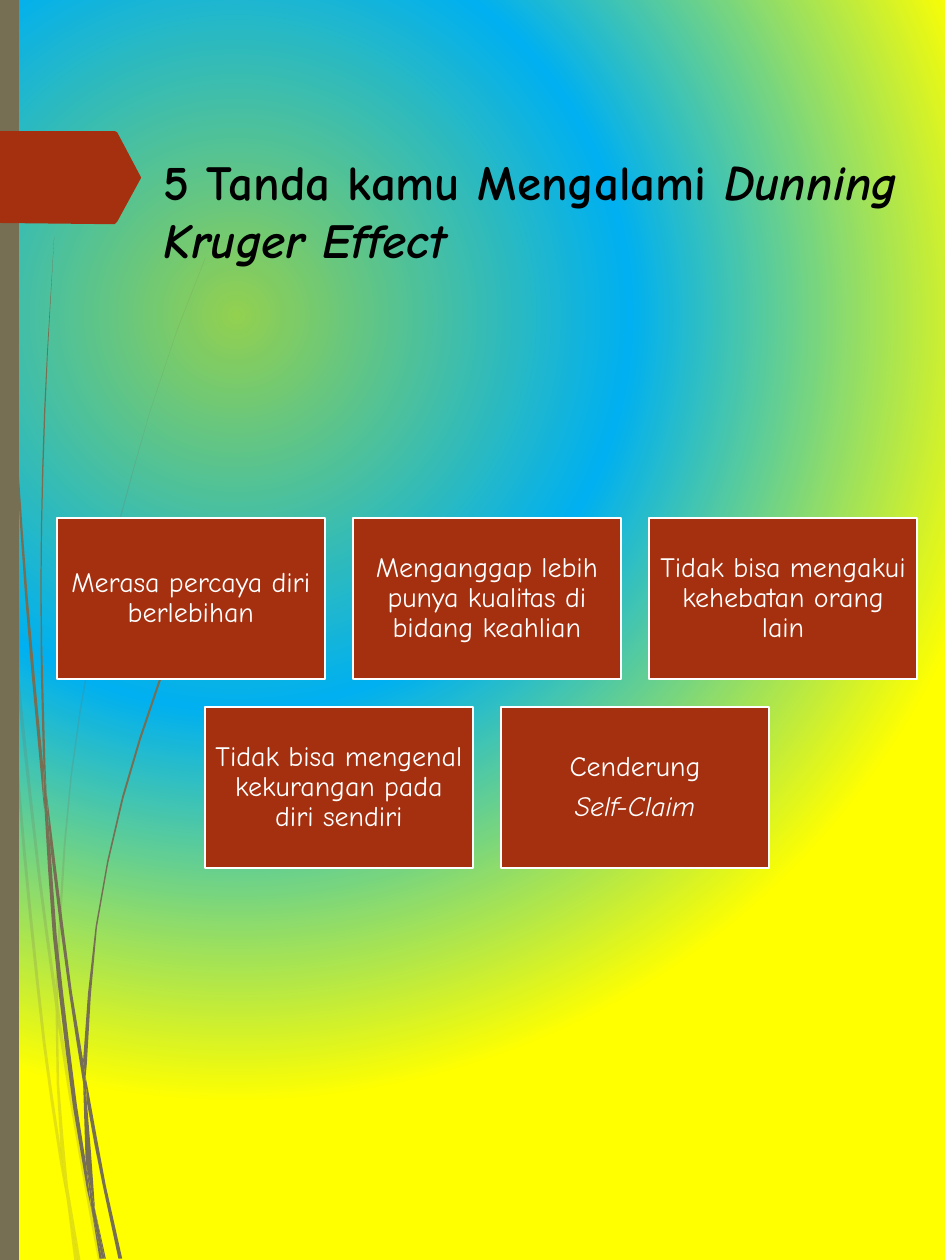
from dataclasses import dataclass
from math import ceil, dist

from lxml.etree import SubElement
from pptx import Presentation
from pptx.dml.color import RGBColor
from pptx.enum.shapes import MSO_SHAPE
from pptx.enum.text import MSO_ANCHOR, PP_ALIGN
from pptx.oxml import parse_xml
from pptx.oxml.ns import nsdecls, qn
from pptx.util import Inches, Pt

Point = tuple[float, float]
Edge = list[Point]


@dataclass(frozen=True)
class Theme:
    font: str = "Comic Neue"
    accent: str = "A53010"
    stem: str = "766F54"
    light: str = "FFFFFF"
    dark: str = "000000"
    glow: tuple[str, ...] = ("92D050", "00B0F0", "FFFF00")
    title_size: float = 28
    card_size: float = 16
    card_line: float = 1.25
    stem_opacity: int = 20


@dataclass(frozen=True)
class Grid:
    left: float = 0.45
    top: float = 4.11
    column_step: float = 2.35
    row_step: float = 1.5
    card_width: float = 2.13
    card_height: float = 1.28


@dataclass(frozen=True)
class Blade:
    """A thin leaf between an edge running down and an edge running back up."""
    down: Edge
    up: Edge


@dataclass(frozen=True)
class Card:
    column: float
    row: int
    lines: tuple[str, ...]
    italic_line: int = -1


THEME = Theme()
GRID = Grid()
WIDTH, HEIGHT = 7.5, 10

PALE_BLADES = [
    Blade([(0, 3.75), (0.04, 4.29), (0.06, 4.67)], [(0.05, 4.59), (0, 3.99)]),
    Blade([(0.07, 4.6), (0.09, 5.01), (0.3, 6.95), (0.44, 7.99)],
          [(0.44, 7.81), (0.32, 6.93), (0.07, 4.6)]),
    Blade([(0.46, 7.94), (0.46, 8.14), (0.64, 9.25), (0.78, 10.01)],
          [(0.81, 10.01), (0.66, 9.22), (0.48, 8.09), (0.46, 7.94)]),
    Blade([(0.55, 9.48), (0.62, 10.01)], [(0.64, 10.01), (0.55, 9.48)]),
    Blade([(0.06, 4.67), (0.14, 6.26), (0.34, 8.28), (0.48, 9.25), (0.53, 9.52)],
          [(0.52, 9.43), (0.48, 9.1), (0.36, 8.26), (0.16, 6.25), (0.09, 5.01), (0.06, 4.67)]),
    Blade([(0.04, 0.33), (0.02, 2.14), (0.04, 4.21), (0.07, 4.6)],
          [(0.07, 4.6), (0.06, 4.21), (0.03, 2.14), (0.05, 0.33)]),
    Blade([(0.44, 7.99), (0.45, 8.61), (0.48, 9.11), (0.55, 9.48)],
          [(0.54, 9.42), (0.47, 8.61), (0.46, 8.11), (0.44, 7.99)]),
    Blade([(1.63, 2.04), (1.4, 2.63), (1.19, 3.26), (0.82, 4.64), (0.56, 6.15),
           (0.44, 7.78), (0.46, 7.94)],
          [(0.46, 7.94), (0.46, 7.78), (0.57, 6.16), (0.83, 4.65), (1.19, 3.27),
           (1.4, 2.64), (1.63, 2.05)]),
    Blade([(0.53, 9.52), (0.59, 10.01)], [(0.62, 10.01), (0.53, 9.52)]),
    Blade([(0.44, 7.81), (0.44, 7.99), (0.46, 8.11)], [(0.46, 8.14), (0.46, 7.94), (0.44, 7.81)]),
    Blade([(0.48, 9.11), (0.53, 9.52), (0.62, 10.01)],
          [(0.62, 10.01), (0.55, 9.48), (0.48, 9.11)]),
]
SOLID_BLADES = [
    Blade([(0.02, 0), (0.04, 1.47), (0.1, 3.1), (0.2, 4.74), (0.35, 6.42)],
          [(0.34, 6.04), (0.22, 4.73), (0.11, 3.1), (0.05, 1.46), (0.02, 0)]),
    Blade([(0.37, 6.29), (0.4, 6.73), (0.55, 7.89), (0.66, 8.6)],
          [(0.66, 8.42), (0.57, 7.87), (0.37, 6.29)]),
    Blade([(0.68, 8.55), (0.69, 8.75), (0.82, 9.43), (0.94, 9.99)],
          [(0.97, 9.99), (0.84, 9.41), (0.7, 8.65), (0.68, 8.55)]),
    Blade([(0.35, 6.36), (0.42, 7.43), (0.58, 8.79), (0.69, 9.44), (0.73, 9.62)],
          [(0.72, 9.56), (0.68, 9.22), (0.61, 8.77), (0.45, 7.42), (0.4, 6.73), (0.35, 6.36)]),
    Blade([(0.43, 1.88), (0.35, 3.26), (0.32, 4.66), (0.34, 5.99), (0.37, 6.29)],
          [(0.37, 6.29), (0.36, 6.04), (0.33, 4.66), (0.36, 3.26), (0.43, 1.88)]),
    Blade([(0.75, 9.58), (0.83, 9.99)], [(0.84, 9.99), (0.75, 9.58)]),
    Blade([(0.34, 5.99), (0.35, 6.37), (0.4, 6.74)], [(0.37, 6.3), (0.34, 5.99)]),
    Blade([(1.62, 4.59), (1.43, 4.98), (1.26, 5.4), (0.97, 6.32), (0.76, 7.35),
           (0.66, 8.42), (0.68, 8.55)],
          [(0.69, 8.44), (0.77, 7.36), (0.98, 6.34), (1.27, 5.42), (1.44, 4.99), (1.62, 4.59)]),
    Blade([(0.73, 9.62), (0.79, 9.99)], [(0.81, 9.99), (0.73, 9.62)]),
    Blade([(0.66, 8.6), (0.68, 9.22), (0.75, 9.58)], [(0.75, 9.54), (0.69, 8.75), (0.66, 8.6)]),
    Blade([(0.66, 8.42), (0.66, 8.6), (0.69, 8.75)], [(0.68, 8.55), (0.66, 8.42)]),
    Blade([(0.68, 9.22), (0.73, 9.62), (0.81, 9.99)], [(0.83, 9.99), (0.75, 9.58), (0.68, 9.22)]),
]
ARROW_TAG = [(0, 1.04), (0.91, 1.04), (0.93, 1.05), (1.11, 1.39), (1.12, 1.41), (1.11, 1.43),
             (0.93, 1.76), (0.91, 1.78), (0, 1.77)]
CARDS = [
    Card(0, 0, ("Merasa percaya diri berlebihan",)),
    Card(1, 0, ("Menganggap lebih punya kualitas di bidang keahlian",)),
    Card(2, 0, ("Tidak bisa mengakui kehebatan orang lain",)),
    Card(0.5, 1, ("Tidak bisa mengenal kekurangan pada diri sendiri",)),
    Card(1.5, 1, ("Cenderung", "Self-Claim"), italic_line=1),
]


def smooth(edge: Edge, steps_per_inch: float = 1.5) -> Edge:
    """Join the points of an edge by Hermite curves with chord-length tangents."""
    def tangent(index: int) -> Point:
        before, after = edge[max(index - 1, 0)], edge[min(index + 1, len(edge) - 1)]
        length = dist(before, edge[index]) + dist(edge[index], after)
        return (after[0] - before[0]) / length, (after[1] - before[1]) / length

    curve = [edge[0]]
    for index, (start, end) in enumerate(zip(edge, edge[1:])):
        leave, arrive, length = tangent(index), tangent(index + 1), dist(start, end)
        steps = ceil(length * steps_per_inch)
        for step in range(1, steps + 1):
            t = step / steps
            blend = t * t * (3 - 2 * t)
            pull_out, pull_in = length * t * (1 - t) ** 2, length * t * t * (t - 1)
            curve.append(tuple(start[axis] * (1 - blend) + end[axis] * blend
                               + leave[axis] * pull_out + arrive[axis] * pull_in
                               for axis in (0, 1)))
    return curve


def paint(shape, color: str, opacity: int = 100) -> None:
    shape.shadow.inherit = False
    shape.fill.solid()
    shape.fill.fore_color.rgb = RGBColor.from_string(color)
    shape.line.fill.background()
    if opacity < 100:
        rgb = shape.element.spPr.find(qn("a:solidFill")).find(qn("a:srgbClr"))
        SubElement(rgb, qn("a:alpha"), val=str(opacity * 1000))


def draw_outline(slide, points: Edge, color: str, opacity: int = 100) -> None:
    corners = [(Inches(x), Inches(y)) for x, y in points]
    builder = slide.shapes.build_freeform(*corners[0])
    builder.add_line_segments(corners[1:], close=True)
    paint(builder.convert_to_shape(), color, opacity)


def style_run(run, size: float, color: str, bold: bool = False, italic: bool = False) -> None:
    run.font.name, run.font.size = THEME.font, Pt(size)
    run.font.bold, run.font.italic = bold, italic
    run.font.color.rgb = RGBColor.from_string(color)


def draw_card(slide, card: Card) -> None:
    shape = slide.shapes.add_shape(
        MSO_SHAPE.RECTANGLE, Inches(GRID.left + card.column * GRID.column_step),
        Inches(GRID.top + card.row * GRID.row_step),
        Inches(GRID.card_width), Inches(GRID.card_height))
    paint(shape, THEME.accent)
    shape.line.color.rgb = RGBColor.from_string(THEME.light)
    shape.line.width = Pt(THEME.card_line)
    frame = shape.text_frame
    frame.word_wrap, frame.vertical_anchor = True, MSO_ANCHOR.MIDDLE
    frame.margin_left = frame.margin_right = frame.margin_top = frame.margin_bottom = Inches(0.07)
    frame.text = "\n".join(card.lines)
    for index, paragraph in enumerate(frame.paragraphs):
        paragraph.alignment, paragraph.line_spacing = PP_ALIGN.CENTER, 0.9
        paragraph.space_after = Pt(THEME.card_size * 0.35)
        style_run(paragraph.runs[0], THEME.card_size, THEME.light,
                  italic=index == card.italic_line)


def draw_title(slide) -> None:
    box = slide.shapes.add_textbox(Inches(1.2), Inches(1.15), Inches(6.08), Inches(1.04))
    box.text_frame.word_wrap = True
    paragraph = box.text_frame.paragraphs[0]
    for text, italic in (("5 Tanda kamu Mengalami ", False), ("Dunning Kruger Effect", True)):
        run = paragraph.add_run()
        run.text = text
        style_run(run, THEME.title_size, THEME.dark, bold=True, italic=italic)


def fill_background(slide) -> None:
    slide.background.fill.gradient()
    linear = next(slide.element.iter(qn("a:gradFill")))
    stops = "".join(f'<a:gs pos="{index * 50000}"><a:srgbClr val="{color}"/></a:gs>'
                    for index, color in enumerate(THEME.glow))
    linear.getparent().replace(linear, parse_xml(
        f'<a:gradFill {nsdecls("a")} rotWithShape="1"><a:gsLst>{stops}</a:gsLst>'
        '<a:path path="circle"><a:fillToRect l="50000" t="50000" r="100000" b="100000"/>'
        '</a:path></a:gradFill>'))


def main() -> None:
    presentation = Presentation()
    presentation.slide_width, presentation.slide_height = Inches(WIDTH), Inches(HEIGHT)
    slide = presentation.slides.add_slide(presentation.slide_layouts[6])
    fill_background(slide)
    for blades, opacity in ((PALE_BLADES, THEME.stem_opacity), (SOLID_BLADES, 100)):
        for blade in blades:
            draw_outline(slide, smooth(blade.down) + smooth(blade.up), THEME.stem, opacity)
    bar = slide.shapes.add_shape(MSO_SHAPE.RECTANGLE, 0, 0, Inches(WIDTH * 0.02), Inches(HEIGHT))
    paint(bar, THEME.stem)
    draw_outline(slide, ARROW_TAG, THEME.accent)
    for card in CARDS:
        draw_card(slide, card)
    draw_title(slide)
    presentation.save("out.pptx")


if __name__ == "__main__":
    main()
